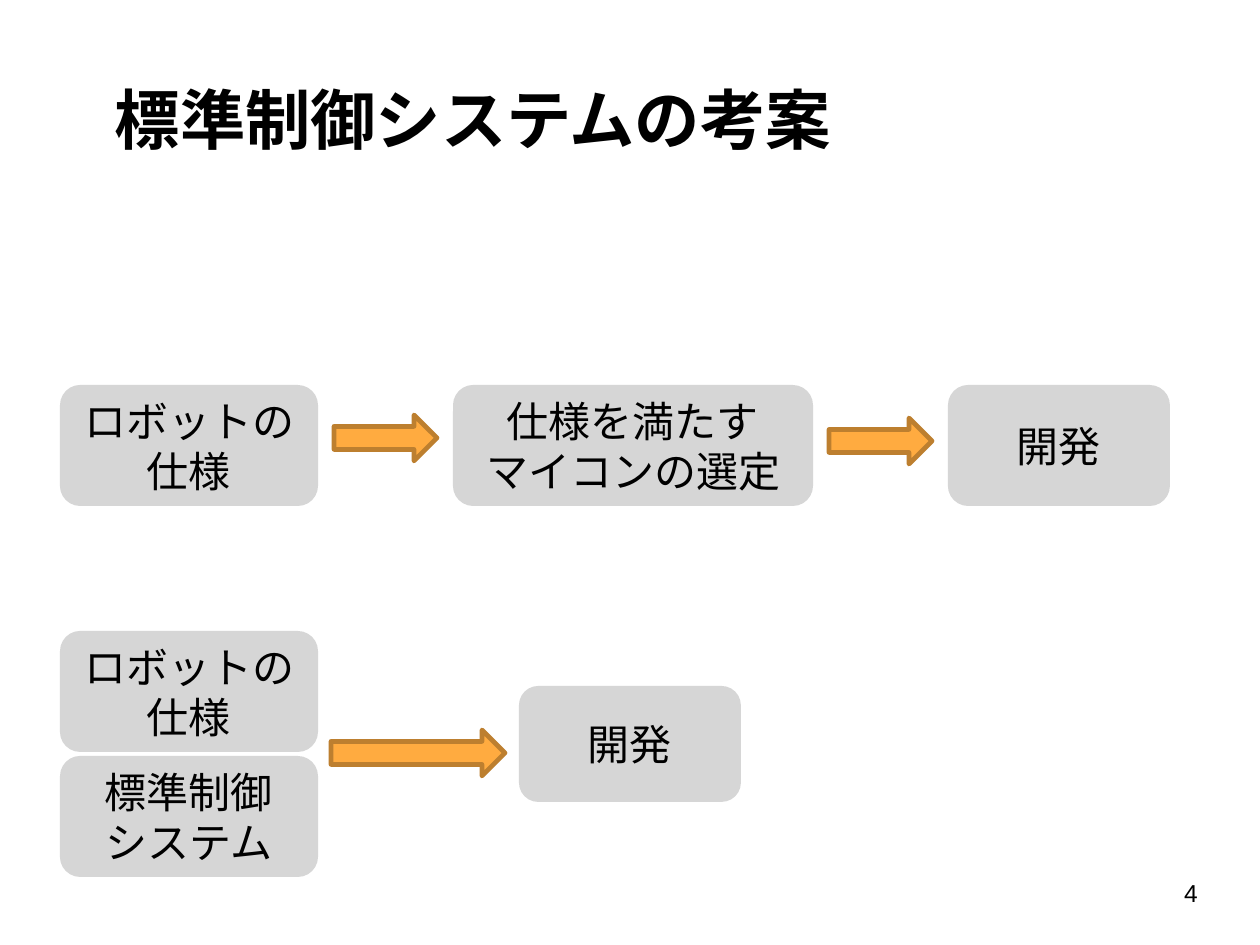
"""Build the slide that compares two robot development flows."""
from lxml import etree
from pptx import Presentation, util as u
from pptx.dml.color import RGBColor
from pptx.enum import lang, shapes, text
from pptx.oxml.ns import qn

EMU_PER_PX = 914400 / 168
BOX_HEIGHT = 121
START_LEFT, START_WIDTH = 60, 258
DEVELOP_WIDTH = 222
ARROW_HEIGHT = 46


def px(length):
    return u.Emu(round(length * EMU_PER_PX))


def colour(hex_string):
    return RGBColor.from_string(hex_string)


def write(shape, lines, size, font, bold=False, align=text.PP_ALIGN.LEFT,
          anchor=text.MSO_ANCHOR.MIDDLE, inset=0, spacing=None):
    frame = shape.text_frame
    frame.word_wrap = True
    frame.vertical_anchor = anchor
    frame.margin_left = frame.margin_right = px(inset)
    frame.margin_top = frame.margin_bottom = px(inset)
    for index, line in enumerate(lines.split("\n")):
        paragraph = frame.add_paragraph() if index else frame.paragraphs[0]
        paragraph.alignment = align
        paragraph.line_spacing = spacing
        run = paragraph.add_run()
        run.text = line
        run.font.size = u.Pt(size)
        run.font.bold = bold
        run.font.color.rgb = colour("000000")
        run.font.language_id = lang.MSO_LANGUAGE_ID.JAPANESE
        run.font.name = font
        east_asian = etree.SubElement(run.font._element, qn("a:ea"))
        east_asian.set("typeface", font)


def add_label(slide, left, top, width, height, label, **style):
    shape = slide.shapes.add_textbox(px(left), px(top), px(width), px(height))
    write(shape, label, **style)


def add_filled(slide, kind, left, top, width, height, fill):
    shape = slide.shapes.add_shape(kind, px(left), px(top), px(width), px(height))
    shape.shadow.inherit = False
    shape.fill.solid()
    shape.fill.fore_color.rgb = colour(fill)
    return shape


def add_step(slide, left, top, width, label, height=BOX_HEIGHT):
    shape = add_filled(slide, shapes.MSO_SHAPE.ROUNDED_RECTANGLE,
                       left, top, width, height, "D6D6D6")
    shape.line.fill.background()
    write(shape, label, size=18, font="Calibri", align=text.PP_ALIGN.CENTER, inset=8)


def add_arrow(slide, left, top, width):
    shape = add_filled(slide, shapes.MSO_SHAPE.RIGHT_ARROW,
                       left, top, width, ARROW_HEIGHT, "FFAB40")
    shape.line.color.rgb = colour("BD7F2F")
    shape.line.width = u.Pt(2)


def main():
    presentation = Presentation()
    presentation.slide_width, presentation.slide_height = px(1260), px(945)
    slide = presentation.slides.add_slide(presentation.slide_layouts[6])

    add_label(slide, 103, 76, 1140, 79, "標準制御システムの考案", size=28,
              font="Noto Sans CJK JP", bold=True, inset=12, spacing=0.9,
              anchor=text.MSO_ANCHOR.TOP)

    add_step(slide, START_LEFT, 385, START_WIDTH, "ロボットの\n仕様")
    add_arrow(slide, 334, 415, 103)
    add_step(slide, 453, 385, 360, "仕様を満たす\nマイコンの選定")
    add_arrow(slide, 829, 418, 103)
    add_step(slide, 948, 385, DEVELOP_WIDTH, "開発")

    add_step(slide, START_LEFT, 631, START_WIDTH, "ロボットの\n仕様")
    add_step(slide, START_LEFT, 756, START_WIDTH, "標準制御\nシステム")
    add_arrow(slide, 331, 730, 174)
    add_step(slide, 519, 686, DEVELOP_WIDTH, "開発", height=116)

    add_label(slide, 1167, 857, 76, 72, "4", size=10.5, font="Arial", inset=17)
    presentation.save("out.pptx")


if __name__ == "__main__":
    main()
